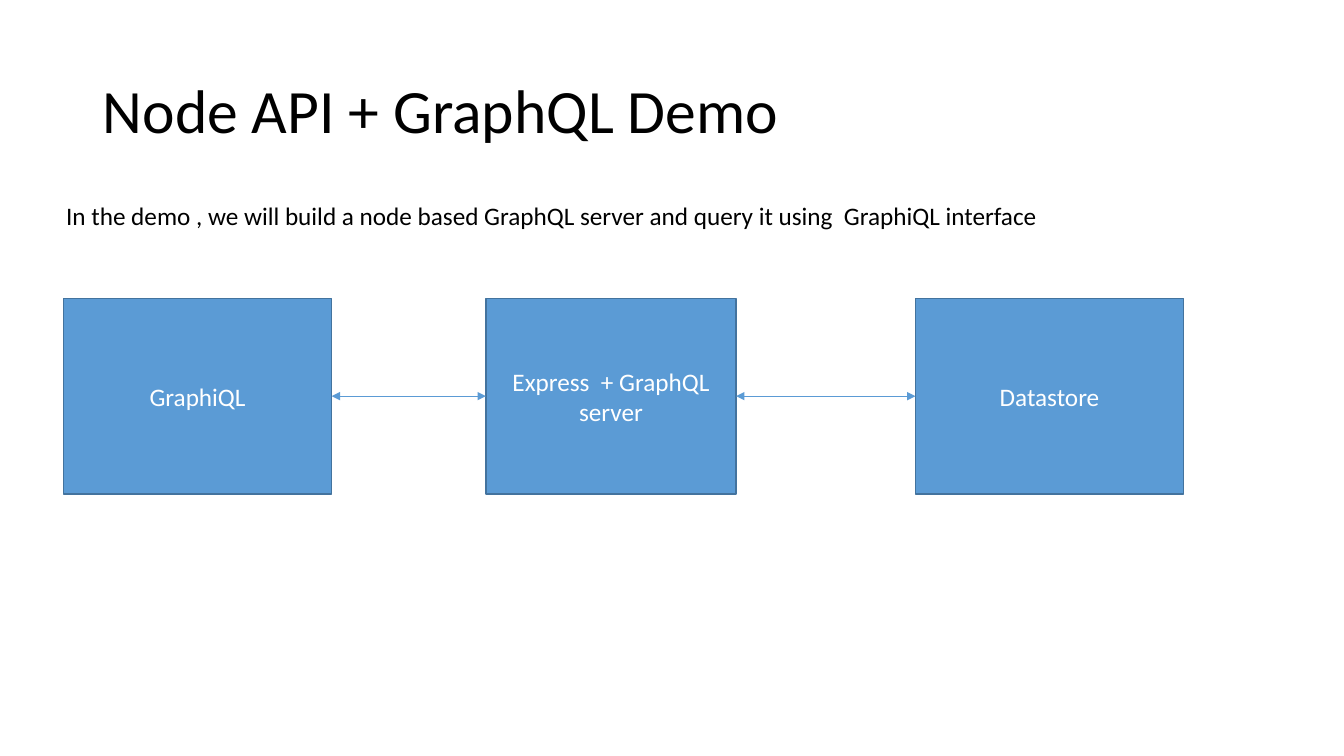
from itertools import pairwise

from lxml.etree import SubElement
from pptx import Presentation
from pptx.dml.color import RGBColor
from pptx.enum.shapes import MSO_CONNECTOR as Connector, MSO_SHAPE as Shape
from pptx.enum.text import MSO_ANCHOR as Anchor, MSO_AUTO_SIZE as AutoSize, PP_ALIGN as Align
from pptx.oxml.ns import qn
from pptx.util import Inches, Pt

# Content
TITLE = "Node API + GraphQL Demo"
INTRO = " In the demo , we will build a node based GraphQL server and query it using  GraphiQL interface"
STAGES = [  # label, left, width
    ("GraphiQL", 0.63, 2.66),
    ("Express  + GraphQL server", 4.82, 2.48),
    ("Datastore", 9.08, 2.66),
]
STAGE_TOP, STAGE_HEIGHT = 2.96, 1.94

FONT = "Calibri"
BLACK = RGBColor(0x00, 0x00, 0x00)
WHITE = RGBColor(0xFF, 0xFF, 0xFF)
BLUE = RGBColor(0x5B, 0x9B, 0xD5)
DARK_BLUE = RGBColor(0x43, 0x73, 0x9E)


def write(holder, text, size, color, align, anchor):
    frame = holder.text_frame
    frame.text = text
    frame.word_wrap = True
    frame.auto_size = AutoSize.NONE
    frame.vertical_anchor = anchor
    paragraph = frame.paragraphs[0]
    paragraph.alignment = align
    font = paragraph.runs[0].font
    font.name, font.size, font.color.rgb = FONT, Pt(size), color
    return paragraph


def place(holder, left, top, width, height):
    holder.left, holder.top = Inches(left), Inches(top)
    holder.width, holder.height = Inches(width), Inches(height)


deck = Presentation()
deck.slide_width, deck.slide_height = Inches(13.33), Inches(7.5)
slide = deck.slides.add_slide(deck.slide_layouts[1])

# Title and introduction
title, intro = slide.placeholders
place(title, 0.92, 0.4, 11.5, 1.45)
heading = write(title, TITLE, 44, BLACK, Align.LEFT, Anchor.MIDDLE)
heading.line_spacing = 0.9

place(intro, 0.5, 1.97, 11.5, 4.76)
sentence = write(intro, INTRO, 18, BLACK, Align.LEFT, Anchor.TOP)
sentence.line_spacing = 0.9
sentence.space_before = Pt(10)
bullet_format = sentence._p.get_or_add_pPr()
bullet_format.set("marL", "0")
bullet_format.set("indent", "0")
SubElement(bullet_format, qn("a:buNone"))

# Stages of the demo
stages = []
for label, left, width in STAGES:
    stage = slide.shapes.add_shape(Shape.RECTANGLE, 0, 0, 0, 0)
    place(stage, left, STAGE_TOP, width, STAGE_HEIGHT)
    stage.shadow.inherit = False
    stage.fill.solid()
    stage.fill.fore_color.rgb = BLUE
    stage.line.color.rgb = DARK_BLUE
    stage.line.width = Pt(1)
    write(stage, label, 18, WHITE, Align.CENTER, Anchor.MIDDLE)
    stages.append(stage)

# Two-way arrows between neighbouring stages
RIGHT_SIDE, LEFT_SIDE = 3, 1
for sender, receiver in pairwise(stages):
    arrow = slide.shapes.add_connector(Connector.STRAIGHT, 0, 0, 0, 0)
    arrow.begin_connect(sender, RIGHT_SIDE)
    arrow.end_connect(receiver, LEFT_SIDE)
    arrow.line.color.rgb = BLUE
    arrow.line.width = Pt(0.5)
    outline = arrow.line._get_or_add_ln()
    for end in ("a:headEnd", "a:tailEnd"):
        SubElement(outline, qn(end), type="triangle")
    SubElement(arrow._element.spPr, qn("a:effectLst"))

deck.save("out.pptx")
